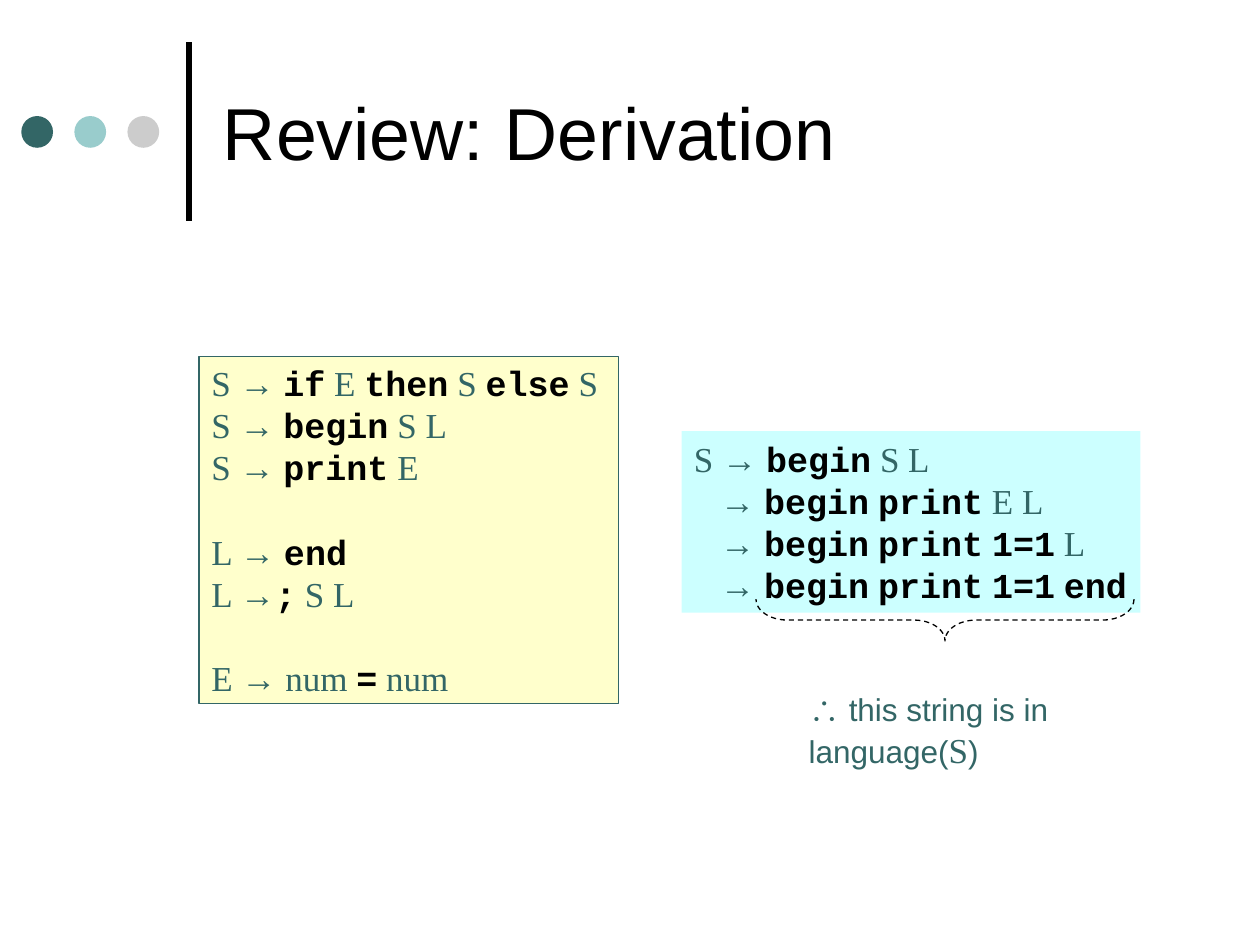
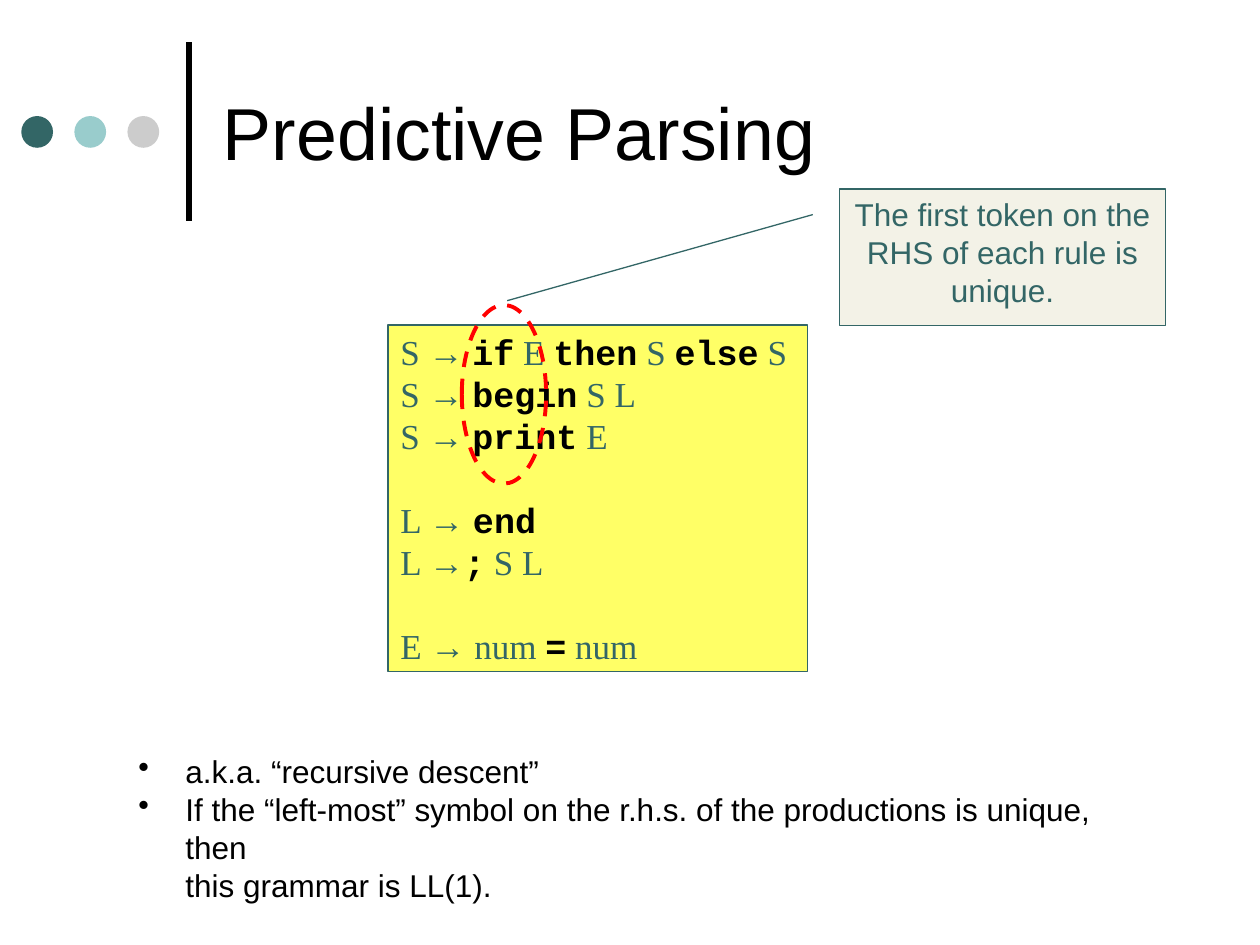
import dataclasses

import lxml.etree
import pptx
import pptx.dml.color
import pptx.enum.dml
import pptx.enum.shapes
import pptx.enum.text
import pptx.oxml
import pptx.oxml.ns
import pptx.util

Cm = pptx.util.Cm
Pt = pptx.util.Pt
Kind = pptx.enum.shapes.MSO_SHAPE
Align = pptx.enum.text.PP_ALIGN
Anchor = pptx.enum.text.MSO_ANCHOR
Dash = pptx.enum.dml.MSO_LINE.DASH


@dataclasses.dataclass(frozen=True)
class Theme:
    ink: str = "000000"
    teal: str = "336666"
    dots: tuple = ("336666", "99CCCC", "CCCCCC")
    cream: str = "FFFFCC"
    lemon: str = "FFFF66"
    aqua: str = "CCFFFF"
    sand: str = "F3F2E7"
    red: str = "FF0000"
    # Faces: font, size, colour, bold
    title: tuple = ("Arial", 42, "000000", False)
    body: tuple = ("Arial", 18, "000000", False)
    note: tuple = ("Arial", 18, "336666", False)
    var: tuple = ("Times New Roman", 20, "336666", False)
    arrow: tuple = ("Arial", 20, "336666", False)
    code: tuple = ("Courier New", 20, "000000", True)


theme = Theme()


def put(par, text, face):
    """Add text as runs; parts between asterisks are arrows or code."""
    for i, part in enumerate(text.split("*")):
        if not part:
            continue
        style = face
        if i % 2:
            style = theme.arrow if part == "→" else theme.code
        name, size, hue, bold = style
        run = par.add_run()
        run.text = part
        run.font.name = name
        run.font.size = Pt(size)
        run.font.bold = bold
        run.font.color.rgb = pptx.dml.color.RGBColor.from_string(hue)


def shape(slide, kind, at, fill=None, line=None, width=0.75, dash=None):
    item = slide.shapes.add_shape(kind, *map(Cm, at))
    item.shadow.inherit = False
    if fill:
        item.fill.solid()
        item.fill.fore_color.rgb = pptx.dml.color.RGBColor.from_string(fill)
    else:
        item.fill.background()
    if line:
        item.line.color.rgb = pptx.dml.color.RGBColor.from_string(line)
        item.line.width = Pt(width)
        item.line.dash_style = dash
    else:
        item.line.fill.background()
    return item


deck = pptx.Presentation()
deck.slide_width, deck.slide_height = Cm(25.4), Cm(19.05)

# Both slides: rule, dots and title
slides = []
for text in ("Review: Derivation", "Predictive Parsing"):
    slide = deck.slides.add_slide(deck.slide_layouts[5])
    slides.append(slide)
    bar = slide.shapes.add_connector(
        pptx.enum.shapes.MSO_CONNECTOR.STRAIGHT, Cm(3.81), Cm(4.45), Cm(3.81), Cm(0.84))
    bar.line.color.rgb = pptx.dml.color.RGBColor.from_string(theme.ink)
    bar.line.width = Pt(3)
    props = bar.element.find(pptx.oxml.ns.qn("p:spPr"))
    lxml.etree.SubElement(props, pptx.oxml.ns.qn("a:effectLst"))
    for i, hue in enumerate(theme.dots):
        shape(slide, Kind.OVAL, (0.43 + 1.07 * i, 2.34, 0.64, 0.64), hue)
    title = slide.shapes.title
    title.left, title.top, title.width, title.height = map(Cm, (4.24, 0.53, 19.48, 4.24))
    title.text_frame.vertical_anchor = Anchor.MIDDLE
    title.text_frame.auto_size = pptx.enum.text.MSO_AUTO_SIZE.NONE
    par = title.text_frame.paragraphs[0]
    par.alignment = Align.LEFT
    put(par, text, theme.title)
review, predict = slides

# Callout lies beneath the grammar
call = shape(predict, Kind.LINE_CALLOUT_1, (16.93, 3.81, 6.56, 2.75), theme.sand, theme.teal)
for i, value in enumerate((0.188, -0.083, 0.819, -1.022)):
    call.adjustments[i] = value
frame = call.text_frame
frame.word_wrap = False
frame.vertical_anchor = Anchor.TOP
for i, text in enumerate(("The first token on the", "RHS of each rule is", "unique.")):
    par = frame.add_paragraph() if i else frame.paragraphs[0]
    par.alignment = Align.CENTER
    put(par, text, theme.note)

# The same grammar on both slides, one group for each symbol
grammar = (
    ("S *→* *if* E *then* S *else* S", "S *→* *begin* S L", "S *→* *print* E"),
    ("L *→* *end*", "L *→**;* S L"),
    ("E *→* num *=* num",),
)
for slide, left, top, fill in ((review, 4.01, 7.19, theme.cream),
                               (predict, 7.82, 6.55, theme.lemon)):
    box = shape(slide, Kind.RECTANGLE, (left, top, 8.46, 6.99), fill, theme.teal)
    frame = box.text_frame
    frame.word_wrap = False
    frame.vertical_anchor = Anchor.MIDDLE
    for g, group in enumerate(grammar):
        for i, text in enumerate(group):
            par = frame.add_paragraph() if g or i else frame.paragraphs[0]
            par.alignment = Align.LEFT
            if g and not i:
                par.space_before = Pt(24)
            put(par, text, theme.var)

# Review: derivation steps, later ones indented under the first
box = shape(review, Kind.RECTANGLE, (13.74, 8.69, 9.25, 3.66), theme.aqua)
frame = box.text_frame
frame.word_wrap = False
frame.vertical_anchor = Anchor.TOP
steps = ("S *→* *begin* S L", "*→* *begin* *print* E L",
         "*→* *begin* *print* *1=1* L", "*→* *begin* *print* *1=1* *end*")
for i, text in enumerate(steps):
    par = frame.add_paragraph() if i else frame.paragraphs[0]
    par.alignment = Align.LEFT
    if i:
        par._p.get_or_add_pPr().set("marL", str(Pt(15)))
    put(par, text, theme.var)

brace = shape(review, Kind.RIGHT_BRACE, (18.63, 8.69, 0.84, 7.62),
              line=theme.ink, dash=Dash.DASH)
brace.adjustments[0] = 0.75
brace.rotation = 90

note = review.shapes.add_textbox(*map(Cm, (16.05, 13.79, 8.6, 1.9)))
note.text_frame.word_wrap = True
par = note.text_frame.paragraphs[0]
put(par, "∴ this string is in language(", theme.note)
put(par, "S", theme.var)
put(par, ")", theme.note)

# Predict: ring round the first tokens, and remarks
shape(predict, Kind.OVAL, (9.31, 6.15, 1.7, 3.6), line=theme.red, width=2.25, dash=Dash.DASH)

facts = predict.shapes.add_textbox(*map(Cm, (2.54, 15.04, 20.78, 2.54)))
frame = facts.text_frame
frame.word_wrap = True
remarks = (
    ("•", "a.k.a. “recursive descent”"),
    ("•", "If the “left-most” symbol on the r.h.s. of the productions is unique, then"),
    ("", "this grammar is LL(1)."),
)
for i, (mark, text) in enumerate(remarks):
    par = frame.add_paragraph() if i else frame.paragraphs[0]
    props = par._p.get_or_add_pPr()
    props.set("marL", str(Cm(0.95)))
    if mark:
        props.set("indent", str(-Cm(0.95)))
        bullet = lxml.etree.SubElement(props, pptx.oxml.ns.qn("a:buChar"))
        bullet.set("char", mark)
    put(par, text, theme.body)

deck.save("out.pptx")
